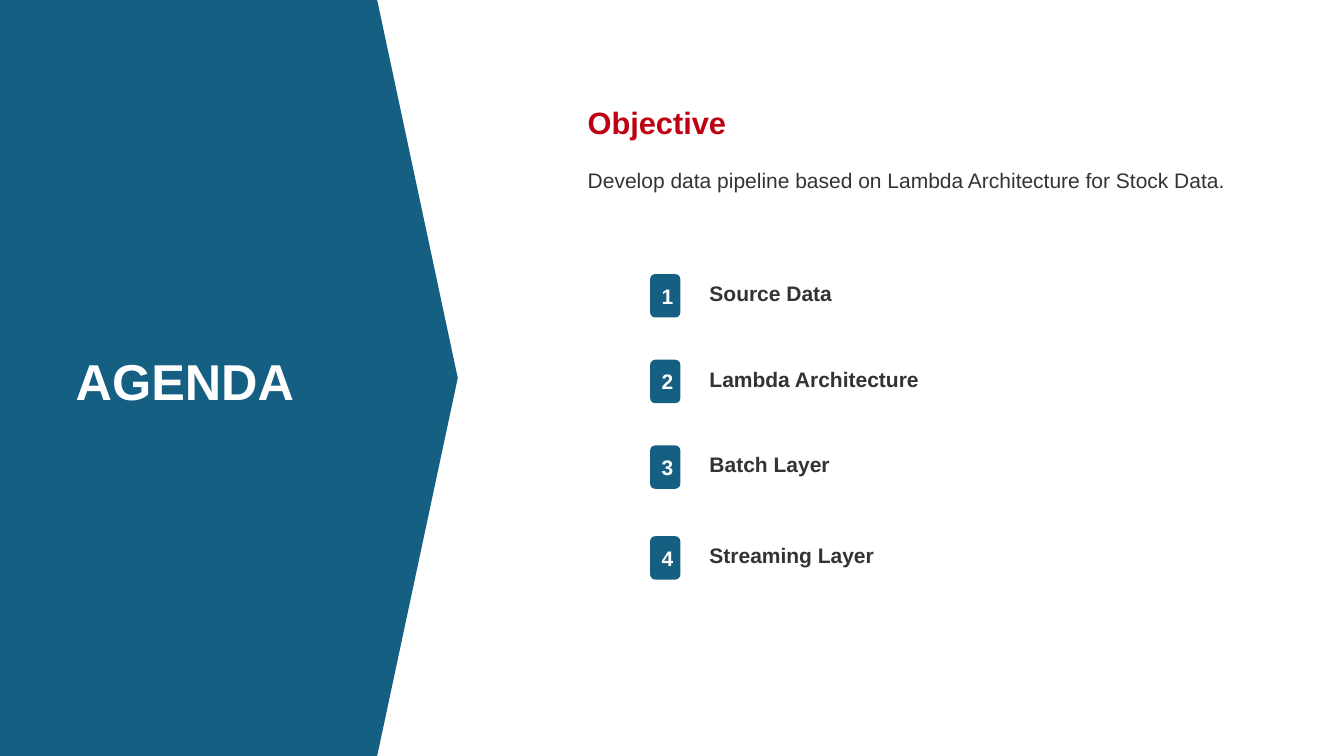
from lxml import etree
from pptx import Presentation
from pptx.dml.color import RGBColor
from pptx.enum.shapes import MSO_SHAPE
from pptx.enum.text import MSO_ANCHOR, MSO_AUTO_SIZE, PP_ALIGN
from pptx.oxml.ns import qn
from pptx.util import Pt

CENTER, LEFT, JUSTIFY = PP_ALIGN.CENTER, PP_ALIGN.LEFT, PP_ALIGN.JUSTIFY
TOP, MIDDLE = MSO_ANCHOR.TOP, MSO_ANCHOR.MIDDLE
BLUE = RGBColor(0x15, 0x60, 0x82)
RED = RGBColor(0xBE, 0x00, 0x13)
DARK = RGBColor(0x33, 0x33, 0x33)
WHITE = RGBColor(0xFF, 0xFF, 0xFF)

# Content
TITLE = "AGENDA"
HEADING = "Objective"
OBJECTIVE = "Develop data pipeline based on Lambda Architecture for Stock Data."
TOPICS = [  # (label, top of its number badge)
    ("Source Data", 195.8),
    ("Lambda Architecture", 257),
    ("Batch Layer", 318.2),
    ("Streaming Layer", 383),
]

# Layout in points
SLIDE_W, SLIDE_H = 960, 540
PANEL_W = 327
BADGE_X, BADGE_W, BADGE_H = 464.4, 21.6, 31
LABEL_X, LABEL_W, LABEL_H, LABEL_DROP = 499.7, 353.5, 24.5, 3


def place(sp, x, y, w, h):
    sp.left, sp.top, sp.width, sp.height = Pt(x), Pt(y), Pt(w), Pt(h)


def setup_frame(sp, anchor=TOP):
    tf = sp.text_frame
    tf.word_wrap = True
    tf.auto_size = MSO_AUTO_SIZE.NONE
    tf.vertical_anchor = anchor
    return tf


def write(p, text, size=15, color=DARK, bold=True, align=LEFT, spacing=1.0, before=0):
    p.alignment, p.line_spacing, p.space_before = align, spacing, Pt(before)
    r = p.add_run()
    r.text = text
    r.font.name, r.font.size, r.font.bold = "Arial", Pt(size), bold
    r.font.color.rgb = color


def add_block(s, preset, x, y, w, h):
    sp = s.shapes.add_shape(preset, Pt(x), Pt(y), Pt(w), Pt(h))
    sp.shadow.inherit = False
    sp.fill.solid()
    sp.fill.fore_color.rgb = BLUE
    sp.line.fill.background()
    return sp


def remove_bullet(p):
    pPr = p._p.get_or_add_pPr()
    pPr.set("marL", "0")
    pPr.set("indent", "0")
    etree.SubElement(pPr, qn("a:buNone"))


prs = Presentation()
prs.slide_width, prs.slide_height = Pt(SLIDE_W), Pt(SLIDE_H)
s = prs.slides.add_slide(prs.slide_layouts[1])
title, body = s.shapes.title, s.placeholders[1]

# Blue panel, sent behind the placeholders
panel = add_block(s, MSO_SHAPE.PENTAGON, 0, 0, PANEL_W, SLIDE_H)
panel.adjustments[0] = 0.176
title._element.addprevious(panel._element)

# Title
place(title, 43.2, 246, 177.8, 51)
write(setup_frame(title, MIDDLE).paragraphs[0], TITLE,
      size=36, color=WHITE, align=CENTER)

# Objective
place(body, 412.6, 73.4, 491.8, 118)
tf = setup_frame(body)
p = tf.paragraphs[0]
remove_bullet(p)
write(p, HEADING, size=22, color=RED, align=JUSTIFY, spacing=0.9)
p = tf.add_paragraph()
remove_bullet(p)
write(p, OBJECTIVE, bold=False, align=JUSTIFY, spacing=1.5, before=10)

# Numbered topics
for number, (label, top) in enumerate(TOPICS, 1):
    badge = add_block(s, MSO_SHAPE.ROUNDED_RECTANGLE, BADGE_X, top, BADGE_W, BADGE_H)
    tf = setup_frame(badge, MIDDLE)
    tf.margin_left, tf.margin_right = Pt(3), 0
    write(tf.paragraphs[0], str(number), color=WHITE, align=CENTER)

    box = s.shapes.add_textbox(Pt(LABEL_X), Pt(top + LABEL_DROP), Pt(LABEL_W), Pt(LABEL_H))
    write(setup_frame(box).paragraphs[0], label, spacing=0.9)

prs.save("out.pptx")
